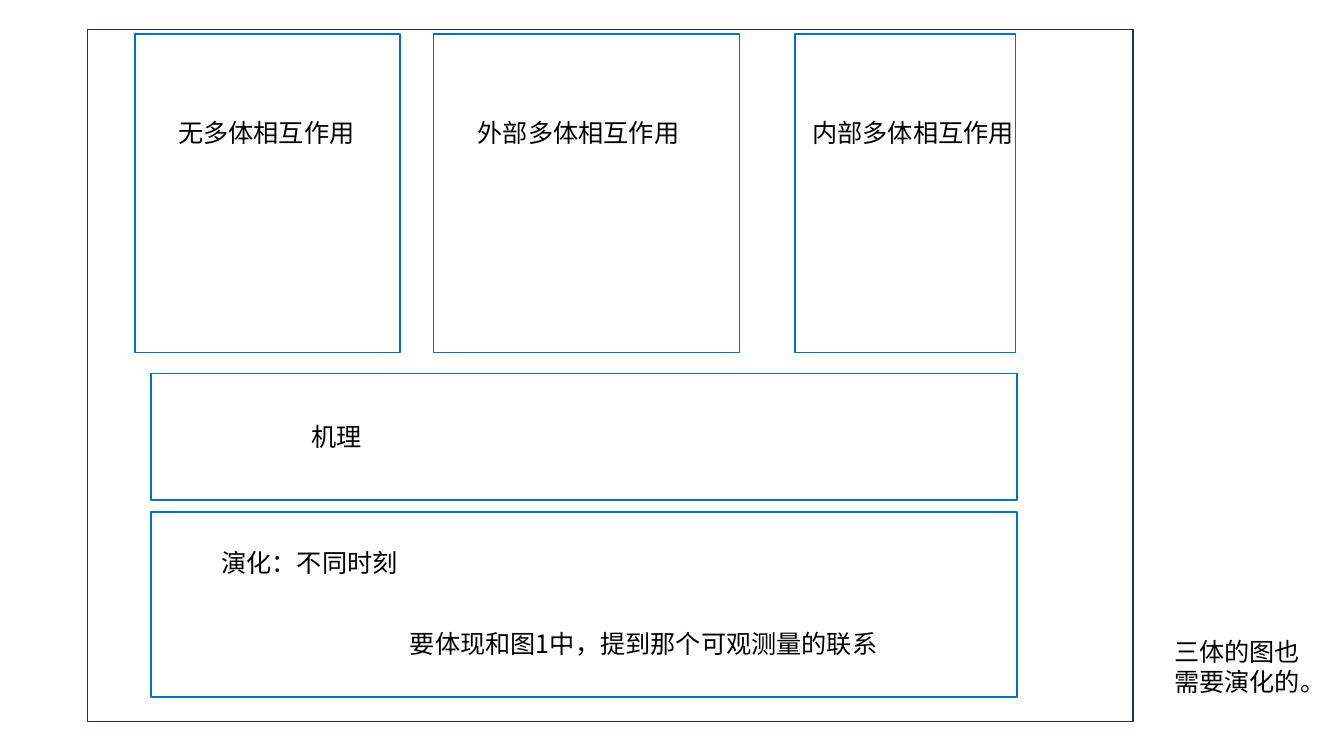
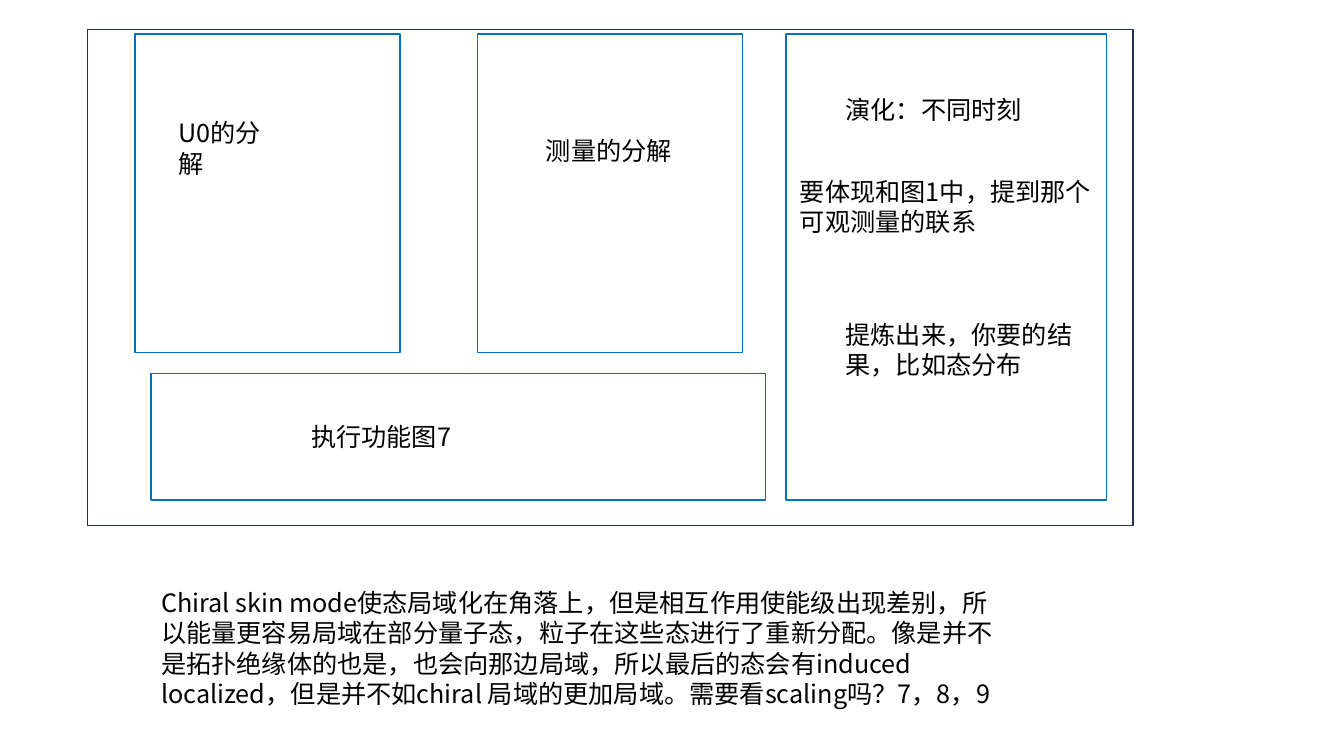
from lxml import etree
from pptx import Presentation
from pptx import util as u
from pptx.dml.color import RGBColor
from pptx.enum import lang, shapes, text
from pptx.oxml.ns import qn

NAVY, BLUE, BLACK = "1E3256", "0070C0", "000000"
FONT = "Noto Sans CJK SC"
TOP, TALL = 0.86, 8.03       # upper row of panels
LEFT, MID, FLAT = 3.81, 9.42, 3.18  # wide panel below it
LINE, PAIR = 1.02, 1.8       # heights of one and two lines of text
STAGE = "演化：不同时刻"
LINK = "要体现和图1中，提到那个可观测量的联系"


def tint(code):
    return RGBColor.from_string(code)


class Deck:
    """Holds the file, its style and the current slide; lengths are in cm."""

    def __init__(self):
        self.prs = Presentation()
        self.prs.slide_width = u.Cm(33.87)
        self.prs.slide_height = u.Cm(19.05)
        self.slide = None

    def page(self, tall):
        """Starts a slide with its outer frame."""
        self.slide = self.prs.slides.add_slide(self.prs.slide_layouts[6])
        self.panel(2.21, 0.74, 26.34, tall, NAVY)

    def panel(self, x, y, w, h, line=BLUE):
        box = self.slide.shapes.add_shape(
            shapes.MSO_SHAPE.RECTANGLE, *map(u.Cm, (x, y, w, h)))
        box.shadow.inherit = False
        box.fill.background()
        box.line.color.rgb = tint(line)
        box.line.width = u.Pt(1)

    def label(self, words, x, y, w, h=LINE, size=18, color=BLACK):
        box = self.slide.shapes.add_textbox(*map(u.Cm, (x, y, w, h)))
        frame = box.text_frame
        frame.word_wrap = True
        frame.auto_size = text.MSO_AUTO_SIZE.SHAPE_TO_FIT_TEXT
        run = frame.paragraphs[0].add_run()
        run.text = words
        font = run.font
        font.size = u.Pt(size)
        font.color.rgb = tint(color)
        font.name = FONT
        font.language_id = lang.MSO_LANGUAGE_ID.SIMPLIFIED_CHINESE
        asian = etree.SubElement(run._r.get_or_add_rPr(), qn("a:ea"))
        asian.set("typeface", FONT)


def kinds(deck):
    """Three kinds of interaction above mechanism and evolution."""
    deck.page(17.45)
    for x, w, words, tx, tw in (
            (3.4, 6.68, "无多体相互作用", 4.24, 5),
            (10.92, 7.72, "外部多体相互作用", 11.79, 5.64),
            (20.04, 5.56, "内部多体相互作用", 20.22, 5.82)):
        deck.panel(x, TOP, w, TALL)
        deck.label(words, tx, 2.84, tw)
    deck.panel(LEFT, MID, 21.82, FLAT)
    deck.label("机理", 7.59, 10.49, 1.8)
    deck.panel(LEFT, 12.9, 21.82, 4.67)
    deck.label(STAGE, 5.33, 13.67, 5)
    deck.label(LINK, 10.08, 15.7, 12.5)
    deck.label("三体的图也需要演化的。", 29.34, 15.9, 3.73, PAIR)


def parts(deck):
    """Two decompositions and a function panel beside the evolution."""
    deck.page(12.5)
    for x, words, tx, ty, tw in (
            (3.4, "U0的分解", 4.24, 2.84, 3.2),
            (12.04, "测量的分解", 13.51, 3.28, 3.71)):
        deck.panel(x, TOP, 6.68, TALL)
        deck.label(words, tx, ty, tw)
    deck.panel(LEFT, MID, 15.49, FLAT)
    deck.label("执行功能图7", 7.59, 10.49, 4.06)
    deck.panel(19.81, TOP, 8.08, MID + FLAT - TOP)
    deck.label(STAGE, 21.06, 2.26, 5)
    deck.label(LINK, 19.91, 4.32, 7.98, PAIR)
    deck.label("提炼出来，你要的结果，比如态分布", 21.06, 7.92, 6.25, PAIR)
    deck.label(
        "Chiral skin mode使态局域化在角落上，但是相互作用使能级出现差别，"
        "所以能量更容易局域在部分量子态，粒子在这些态进行了重新分配。"
        "像是并不是拓扑绝缘体的也是，也会向那边局域，"
        "所以最后的态会有induced localized，但是并不如chiral 局域的更加局域。"
        "需要看scaling吗？7，8，9", LEFT, 14.68, 21.87, 3.33)


def main():
    deck = Deck()
    kinds(deck)
    parts(deck)
    deck.prs.save("out.pptx")


if __name__ == "__main__":
    main()
